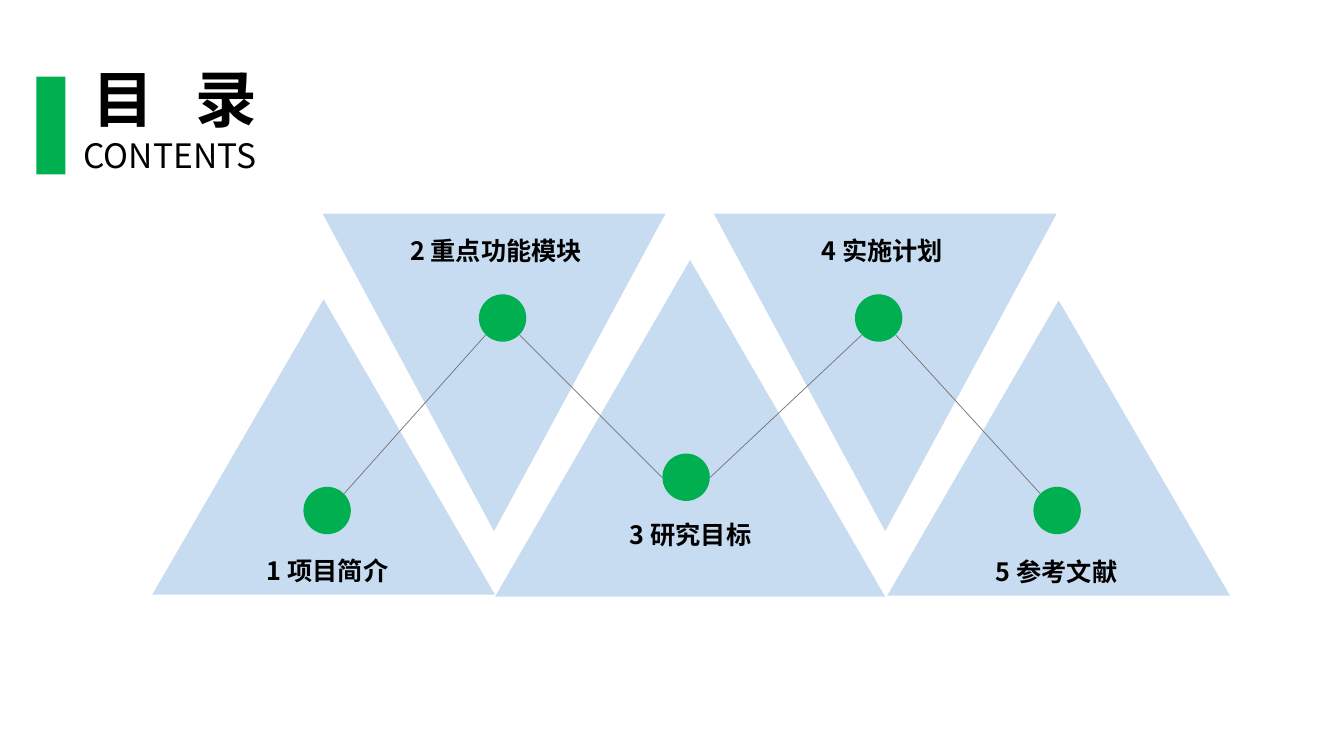
from dataclasses import dataclass
from itertools import pairwise

from lxml.etree import SubElement
from pptx import Presentation
from pptx.dml.color import RGBColor
from pptx.enum.shapes import MSO_CONNECTOR as CONN, MSO_SHAPE as SHAPE
from pptx.enum.text import MSO_ANCHOR as ANCHOR, MSO_AUTO_SIZE as AUTO, PP_ALIGN as ALIGN
from pptx.oxml.ns import qn
from pptx.util import Pt

PX = 9144  # 100 px to the inch
FONT = "Noto Sans CJK SC"
GREEN = RGBColor(0x00, 0xB0, 0x50)
BLUE = RGBColor(0x5B, 0x9B, 0xD5)
GRAY = RGBColor(0x76, 0x71, 0x71)
BLACK = RGBColor(0, 0, 0)
DOT = 47
LABEL_W, LABEL_H = 300, 40


@dataclass
class Topic:
    text: str
    triangle: tuple  # left, top, width, height
    dot: tuple  # left, top
    label: tuple  # left, top
    reach: tuple  # from dot centre to the line end on its right
    inverted: bool = False


TOPICS = [
    Topic("1 项目简介", (0, 85, 340, 293), (150, 271), (24, 337), (17, -17)),
    Topic("2 重点功能模块", (169, 0, 340, 315), (324, 80), (191, 20), (17, 17), True),
    Topic("3 研究目标", (340, 46, 387, 334), (506, 238), (384, 302), (24, 0)),
    Topic("4 实施计划", (557, 0, 340, 315), (697, 80), (574, 20), (17, 17), True),
    Topic("5 参考文献", (729, 86, 340, 293), (874, 271), (747, 338), (17, -17)),
]


def px(*lengths):
    return [round(n * PX) for n in lengths]


def add_plain(s, kind, box, color, opacity=None):
    """Add a filled shape with no outline or shadow."""
    sp = s.shapes.add_shape(kind, *px(*box))
    sp.shadow.inherit = False
    sp.line.fill.background()
    sp.fill.solid()
    sp.fill.fore_color.rgb = color
    if opacity is not None:
        clr = sp._element.spPr.find(qn("a:solidFill"))[0]
        SubElement(clr, qn("a:alpha")).set("val", str(opacity * 1000))
    return sp


def style_text(sp, size, bold=False, align=ALIGN.CENTER):
    tf = sp.text_frame
    tf.word_wrap = True
    tf.auto_size = AUTO.SHAPE_TO_FIT_TEXT
    tf.vertical_anchor = ANCHOR.TOP
    p = tf.paragraphs[0]
    p.alignment = align
    p.line_spacing = 0.9
    p.font.size = Pt(size)
    p.font.bold = bold
    p.font.name = FONT
    p.font.color.rgb = BLACK
    for r in p.runs:
        SubElement(r._r.get_or_add_rPr(), qn("a:ea")).set("typeface", FONT)


def add_text(s, text, box, size, **style):
    sp = s.shapes.add_textbox(*px(*box))
    sp.text_frame.text = text
    style_text(sp, size, **style)


def add_heading(s, x, y):
    add_plain(s, SHAPE.RECTANGLE, (x, y, 29, 97), GREEN)
    title = s.shapes.title
    title.left, title.top, title.width, title.height = px(x + 29, y - 12, 217, 84)
    p = title.text_frame.paragraphs[0]
    for text in ("目 ", "录"):
        p.add_run().text = text
    p.runs[0]._r.get_or_add_rPr().set("spc", "985")
    style_text(title, 44, bold=True)
    add_text(s, "CONTENTS", (x + 37, y + 57, 198, 50), 24, align=ALIGN.LEFT)


def add_link(s, x, y, start, end):
    """Join the facing edges of two neighbouring dots."""
    x1, y1 = (x + start.dot[0] + DOT / 2 + start.reach[0],
              y + start.dot[1] + DOT / 2 + start.reach[1])
    x2, y2 = (x + end.dot[0] + DOT / 2 - end.reach[0],
              y + end.dot[1] + DOT / 2 + end.reach[1])
    cx = s.shapes.add_connector(CONN.STRAIGHT, *px(x1, y1, x2, y2))
    cx.line.color.rgb = GRAY
    cx.line.width = Pt(0.5)
    SubElement(cx._element.spPr, qn("a:effectLst"))


def add_topics(s, x, y):
    for t in TOPICS:
        left, top, w, h = t.triangle
        sp = add_plain(s, SHAPE.ISOSCELES_TRIANGLE, (x + left, y + top, w, h), BLUE, 34)
        if t.inverted:
            sp.rotation = 180
    for start, end in pairwise(TOPICS):
        add_link(s, x, y, start, end)
    for t in TOPICS:
        add_plain(s, SHAPE.OVAL, (x + t.dot[0], y + t.dot[1], DOT, DOT), GREEN)
        add_text(s, t.text, (x + t.label[0], y + t.label[1], LABEL_W, LABEL_H),
                 18, bold=True)


def main():
    prs = Presentation()
    prs.slide_width, prs.slide_height = px(1333, 750)
    s = prs.slides.add_slide(prs.slide_layouts[5])
    add_heading(s, 36, 76)
    add_topics(s, 151, 212)
    prs.save("out.pptx")


if __name__ == "__main__":
    main()
